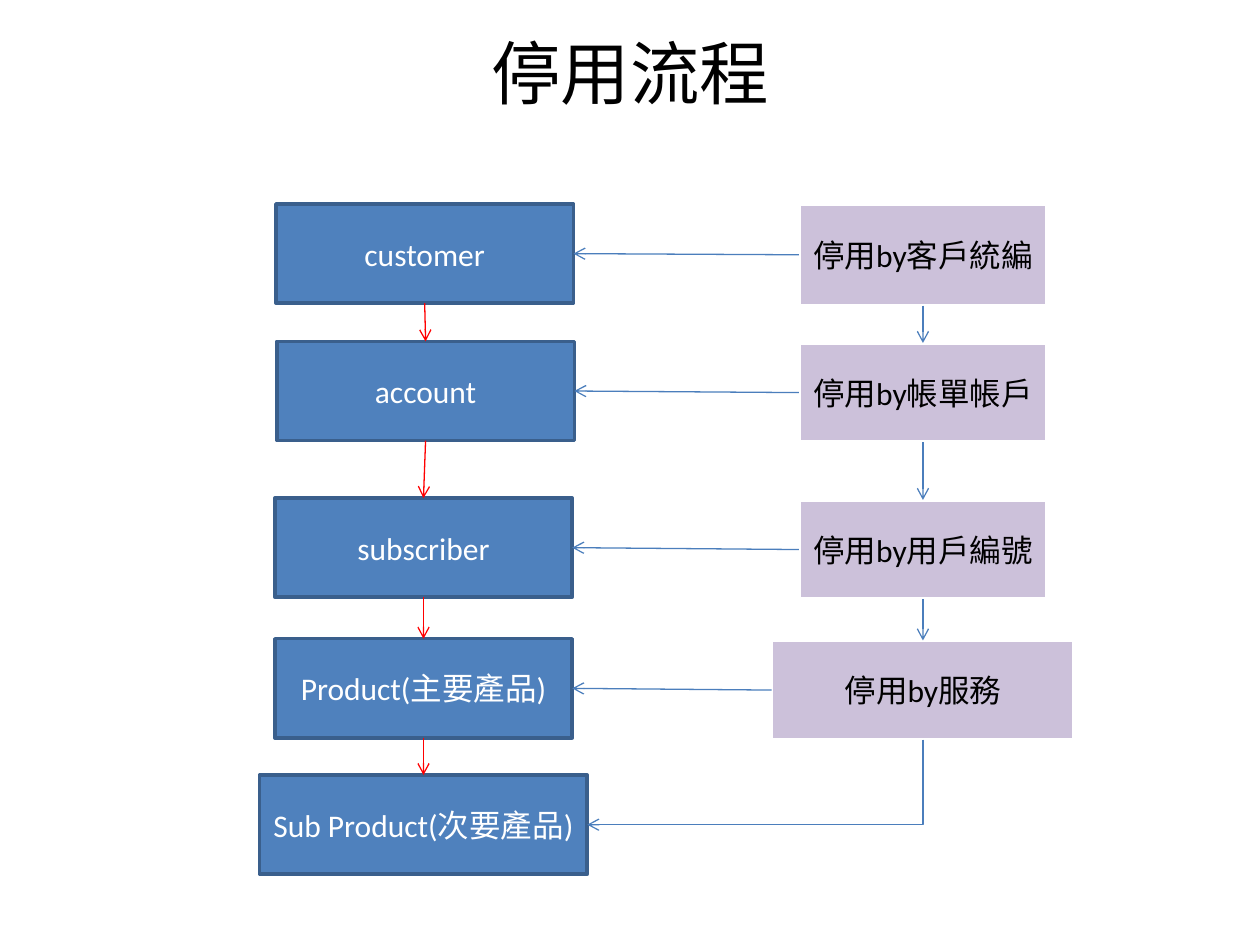
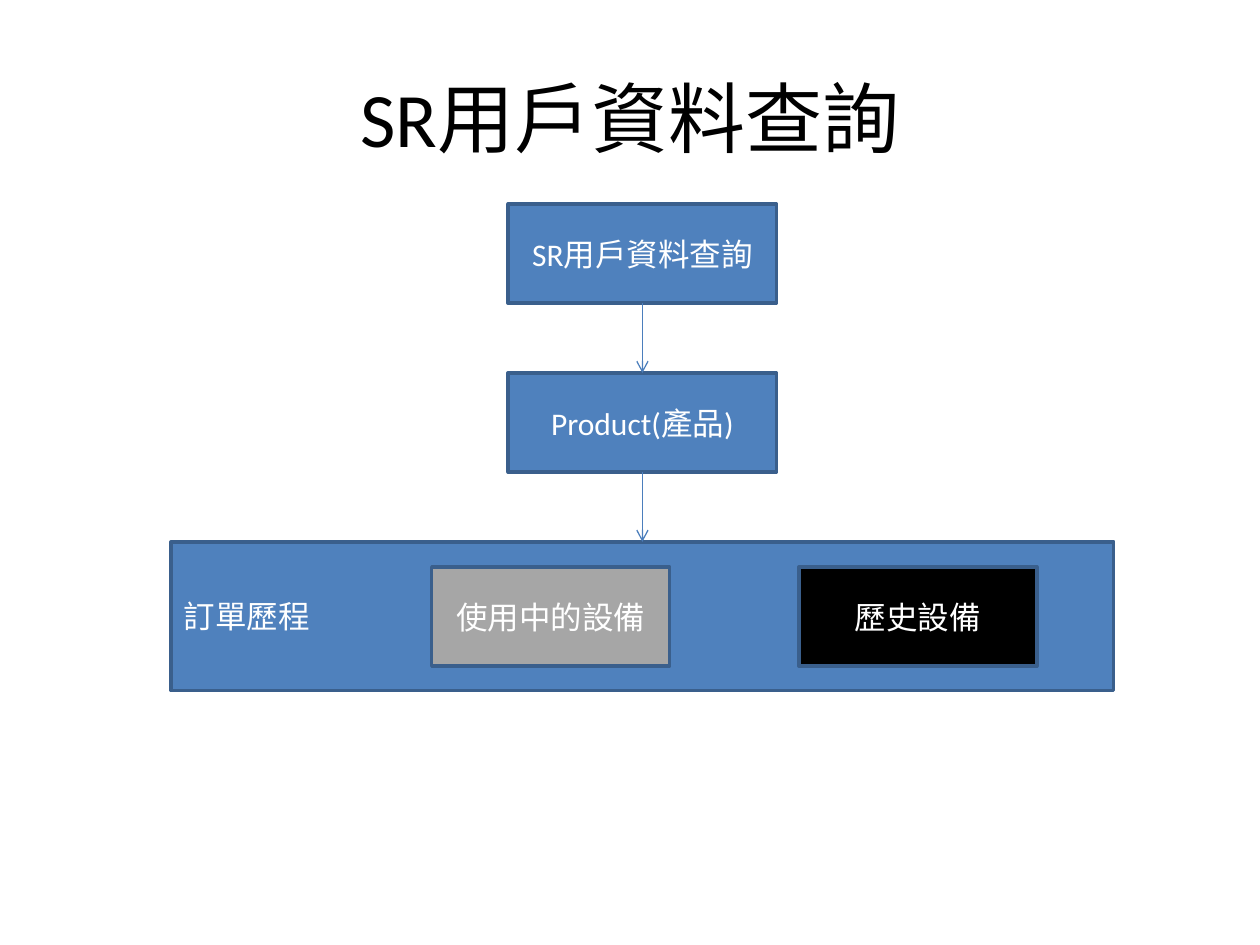
from itertools import pairwise

from lxml import etree
from pptx import Presentation
from pptx.dml.color import RGBColor
from pptx.enum.shapes import MSO_CONNECTOR, MSO_SHAPE
from pptx.enum.text import MSO_ANCHOR, MSO_AUTO_SIZE, PP_ALIGN
from pptx.oxml.ns import qn
from pptx.util import Pt

RECTANGLE = MSO_SHAPE.RECTANGLE
STRAIGHT, ELBOW = MSO_CONNECTOR.STRAIGHT, MSO_CONNECTOR.ELBOW
MIDDLE = MSO_ANCHOR.MIDDLE
LEFT, CENTER = PP_ALIGN.LEFT, PP_ALIGN.CENTER
NO_AUTOFIT = MSO_AUTO_SIZE.NONE
TOP_SITE, LEFT_SITE, BOTTOM_SITE, RIGHT_SITE = range(4)
TITLE_ONLY = 5

FONT = "Calibri"
BLUE, NAVY, LILAC = "4F81BD", "3A5F8C", "CCC1DA"
ARROW_BLUE, RED, GRAY = "4B7EBC", "FF0000", "A6A6A6"
BLACK, WHITE = "000000", "FFFFFF"
BOX_HEIGHT = 56.7


def color(hex_value):
    """Turn a hex string into a colour."""
    return RGBColor.from_string(hex_value)


def write(frame, wording, size, ink, align=CENTER):
    """Put one formatted run into a vertically centred frame."""
    frame.word_wrap = True
    frame.auto_size = NO_AUTOFIT
    frame.vertical_anchor = MIDDLE
    paragraph = frame.paragraphs[0]
    paragraph.alignment = align
    run = paragraph.add_run()
    run.text = wording
    run.font.name = FONT
    run.font.size = Pt(size)
    run.font.color.rgb = color(ink)


def add_titled_slide(deck, wording, top, height, size):
    """Add a slide with its title placed and formatted."""
    slide = deck.slides.add_slide(deck.slide_layouts[TITLE_ONLY])
    title = slide.shapes.title
    title.left, title.top = Pt(36), Pt(top)
    title.width, title.height = Pt(648), Pt(height)
    write(title.text_frame, wording, size, BLACK)
    return slide


def add_box(slide, wording, left, top, width, height=BOX_HEIGHT,
            fill=BLUE, border=NAVY, ink=WHITE, align=CENTER):
    """Add a bordered rectangle with text."""
    box = slide.shapes.add_shape(RECTANGLE, Pt(left), Pt(top), Pt(width), Pt(height))
    box.shadow.inherit = False
    box.fill.solid()
    box.fill.fore_color.rgb = color(fill)
    box.line.color.rgb = color(border)
    box.line.width = Pt(2)
    write(box.text_frame, wording, 18, ink, align)
    return box


def style_arrow(arrow, stroke):
    """Give a connector its stroke and an open arrowhead at the end."""
    arrow.line.color.rgb = color(stroke)
    arrow.line.width = Pt(0.75)
    properties = arrow._element.spPr
    etree.SubElement(properties.find(qn("a:ln")), qn("a:tailEnd"), type="arrow")
    etree.SubElement(properties, qn("a:effectLst"))


def link(slide, source, source_site, target, target_site, stroke=ARROW_BLUE):
    """Glue a straight arrow between two boxes."""
    arrow = slide.shapes.add_connector(STRAIGHT, 0, 0, 0, 0)
    arrow.begin_connect(source, source_site)
    arrow.end_connect(target, target_site)
    style_arrow(arrow, stroke)


def link_down(slide, boxes, stroke=ARROW_BLUE):
    """Link each box to the next one below it."""
    for upper, lower in pairwise(boxes):
        link(slide, upper, BOTTOM_SITE, lower, TOP_SITE, stroke)


def link_corner(slide, source, target):
    """Lead an arrow down from the source, then left into the target."""
    start_x = source.left + source.width // 2
    start_y = source.top + source.height
    end_x = target.left + target.width
    end_y = target.top + target.height // 2
    drop, run = end_y - start_y, start_x - end_x
    left = (start_x + end_x - drop) // 2
    top = (start_y + end_y - run) // 2
    arrow = slide.shapes.add_connector(ELBOW, left, top, left + drop, top + run)
    properties = arrow._element.spPr
    properties.find(qn("a:prstGeom")).set("prst", "bentConnector2")
    properties.find(qn("a:xfrm")).set("rot", "5400000")
    style_arrow(arrow, ARROW_BLUE)


def build_deactivation(deck):
    """Build the deactivation flow."""
    slide = add_titled_slide(deck, "停用流程", 21, 39.6, 39.6)
    levels = [add_box(slide, *level) for level in (
        ("customer", 157.7, 116.6, 170),
        ("account", 158.2, 195.1, 170),
        ("subscriber", 157, 284.6, 170),
        ("Product(主要產品)", 157, 365, 170),
        ("Sub Product(次要產品)", 148.4, 442.9, 187.2),
    )]
    link_down(slide, levels, RED)

    requests = [
        add_box(slide, wording, 527.4 - width / 2, top, width, height, LILAC, WHITE, BLACK)
        for wording, top, width, height in (
            ("停用by客戶統編", 116.6, 141.7, 58),
            ("停用by帳單帳戶", 196, 141.7, BOX_HEIGHT),
            ("停用by用戶編號", 285.7, 141.7, BOX_HEIGHT),
            ("停用by服務", 366, 172.8, BOX_HEIGHT),
        )
    ]
    link_down(slide, requests)
    for request, level in zip(requests, levels):
        link(slide, request, LEFT_SITE, level, RIGHT_SITE)
    link_corner(slide, requests[-1], levels[-1])


def build_subscriber_query(deck):
    """Build the subscriber data query."""
    query = "SR用戶資料查詢"
    slide = add_titled_slide(deck, query, 21.6, 90, 44)
    first_top, pitch = 116.6, 96.5
    steps = [add_box(slide, wording, 290.4, first_top + row * pitch, 153.4)
             for row, wording in enumerate((query, "Product(產品)"))]
    history = add_box(slide, "訂單歷程", 97.8, first_top + 2 * pitch, 538.6, 85, align=LEFT)
    link_down(slide, [*steps, history])
    for wording, left, fill in (("使用中的設備", 246.7, GRAY), ("歷史設備", 456.5, BLACK)):
        add_box(slide, wording, left, 324, 136, fill=fill)


def main():
    """Build and save the presentation."""
    deck = Presentation()
    deck.slide_width, deck.slide_height = Pt(720), Pt(540)
    build_deactivation(deck)
    build_subscriber_query(deck)
    deck.save("out.pptx")


main()
